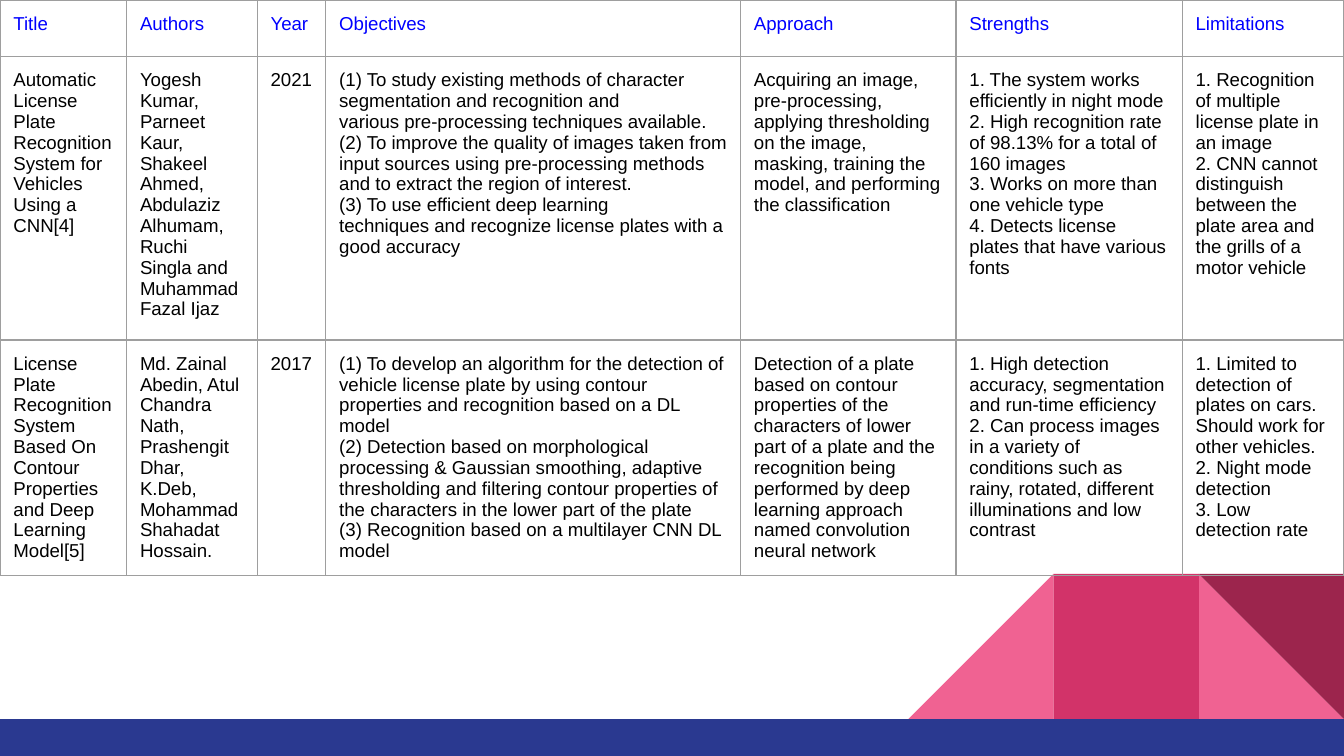
"""Build a literature review table slide with a geometric footer."""
from lxml import etree
from pptx import Presentation, util as u
from pptx.dml.color import RGBColor
from pptx.enum import shapes, text
from pptx.oxml import ns

PINK = RGBColor(0xF0, 0x62, 0x92)
ROSE = RGBColor(0xD2, 0x33, 0x69)
WINE = RGBColor(0x9C, 0x25, 0x4D)
NAVY = RGBColor(0x2A, 0x39, 0x90)
BLUE = RGBColor(0x00, 0x00, 0xFF)
BLACK = RGBColor(0x00, 0x00, 0x00)
GRAY = RGBColor(0x9E, 0x9E, 0x9E)

SLIDE_WIDTH = 10
SLIDE_HEIGHT = SLIDE_WIDTH * 9 / 16
TILE = 1.08
TILE_TOP = 4.27
TILE_RIGHT = SLIDE_WIDTH - TILE
BAND_TOP = TILE_TOP + TILE
COLUMN_SHARES = [0.94, 0.97, 0.51, 3.08, 1.6, 1.68, 1.2]
COLUMN_WIDTHS = [share * SLIDE_WIDTH / sum(COLUMN_SHARES) for share in COLUMN_SHARES]
ROW_HEIGHTS = [0.42, 2.11, 1.68]
MARGINS = {f"margin_{side}": u.Inches(0.1) for side in ("left", "right", "top", "bottom")}
CELL_FORMAT = {**MARGINS, "vertical_anchor": text.MSO_ANCHOR.TOP}
FONT_FORMAT = {"name": "Arial", "size": u.Pt(10), "bold": False}

REVIEW = [
    ["Title", "Authors", "Year", "Objectives", "Approach", "Strengths", "Limitations"],
    [
        "Automatic License Plate Recognition System for Vehicles Using a CNN[4]",
        "Yogesh Kumar,\n"
        "Parneet Kaur, Shakeel Ahmed, Abdulaziz Alhumam, Ruchi Singla and Muhammad Fazal Ijaz",
        "2021",
        "(1) To study existing methods of character segmentation and recognition and\n"
        "various pre-processing techniques available.\n"
        "(2) To improve the quality of images taken from input sources using "
        "pre-processing methods and to extract the region of interest.\n"
        "(3) To use efficient deep learning\n"
        "techniques and recognize license plates with a good accuracy",
        "Acquiring an image, pre-processing, applying thresholding on the image, "
        "masking, training the\n"
        "model, and performing the classification",
        "1. The system works efficiently in night mode\n"
        "2. High recognition rate of 98.13% for a total of 160 images\n"
        "3. Works on more than one vehicle type\n"
        "4. Detects license plates that have various fonts",
        "1. Recognition of multiple license plate in an image\n"
        "2. CNN cannot distinguish between the plate area and the grills of a motor vehicle",
    ],
    [
        "License Plate Recognition System Based On Contour\n"
        "Properties and Deep Learning Model[5]",
        "Md. Zainal Abedin, Atul Chandra Nath, Prashengit Dhar, K.Deb, "
        "Mohammad Shahadat Hossain.",
        "2017",
        "(1) To develop an algorithm for the detection of vehicle license plate by "
        "using contour properties and recognition based on a DL model\n"
        "(2) Detection based on morphological processing & Gaussian smoothing, adaptive "
        "thresholding and filtering contour properties of the characters in the lower "
        "part of the plate\n"
        "(3) Recognition based on a multilayer CNN DL model",
        "Detection of a plate based on contour properties of the characters of lower "
        "part of a plate and the recognition being performed by deep learning approach "
        "named convolution neural network",
        "1. High detection accuracy, segmentation and run-time efficiency\n"
        "2. Can process images in a variety of conditions such as rainy, rotated, "
        "different illuminations and low contrast",
        "1. Limited to detection of plates on cars. Should work for other vehicles.\n"
        "2. Night mode detection\n"
        "3. Low detection rate",
    ],
]


def apply_format(target, values):
    """Set each named attribute on the target."""
    for name, value in values.items():
        setattr(target, name, value)


def add_block(slide, kind, box, color, rotation=0, flipped=False):
    """Add a flat shape without outline or shadow."""
    shape = slide.shapes.add_shape(kind, *map(u.Inches, box))
    shape.shadow.inherit = False
    shape.fill.solid()
    shape.fill.fore_color.rgb = color
    shape.line.fill.background()
    shape.rotation = rotation
    if flipped:
        shape._element.spPr.xfrm.set("flipH", "1")


def add_footer(slide):
    """Add the triangles, square and band at the foot of the slide."""
    triangle = shapes.MSO_SHAPE.RIGHT_TRIANGLE
    rectangle = shapes.MSO_SHAPE.RECTANGLE
    right, middle, left = [
        (TILE_RIGHT - step * TILE, TILE_TOP, TILE, TILE) for step in range(3)
    ]
    band = (0, BAND_TOP, SLIDE_WIDTH, SLIDE_HEIGHT - BAND_TOP)
    add_block(slide, triangle, right, PINK)
    add_block(slide, triangle, left, PINK, flipped=True)
    add_block(slide, rectangle, middle, ROSE)
    add_block(slide, triangle, right, WINE, rotation=180)
    add_block(slide, rectangle, band, NAVY)


def add_borders(cell):
    """Draw a thin gray line on all four sides of a cell."""
    properties = cell._tc.get_or_add_tcPr()
    for index, side in enumerate(("lnL", "lnR", "lnT", "lnB")):
        line = etree.Element(ns.qn(f"a:{side}"), w=str(u.Pt(0.75)))
        fill = etree.SubElement(line, ns.qn("a:solidFill"))
        etree.SubElement(fill, ns.qn("a:srgbClr"), val=str(GRAY))
        properties.insert(index, line)


def fill_cell(cell, content, color):
    """Write and format the text of one cell."""
    cell.text = content
    apply_format(cell, CELL_FORMAT)
    cell.fill.background()
    add_borders(cell)
    for paragraph in cell.text_frame.paragraphs:
        for run in paragraph.runs:
            apply_format(run.font, FONT_FORMAT)
            run.font.color.rgb = color


def add_review_table(slide):
    """Add the table comparing the reviewed papers."""
    size = (SLIDE_WIDTH, sum(ROW_HEIGHTS))
    frame = slide.shapes.add_table(
        len(ROW_HEIGHTS), len(COLUMN_WIDTHS), 0, 0, *map(u.Inches, size)
    )
    table = frame.table
    apply_format(table, {"first_row": False, "horz_banding": False})
    for column, width in zip(table.columns, COLUMN_WIDTHS):
        column.width = u.Inches(width)
    for row, height, contents in zip(table.rows, ROW_HEIGHTS, REVIEW):
        row.height = u.Inches(height)
        color = BLUE if contents is REVIEW[0] else BLACK
        for cell, content in zip(row.cells, contents):
            fill_cell(cell, content, color)


def main():
    """Build and save the presentation."""
    presentation = Presentation()
    size = {"slide_width": u.Inches(SLIDE_WIDTH), "slide_height": u.Inches(SLIDE_HEIGHT)}
    apply_format(presentation, size)
    slide = presentation.slides.add_slide(presentation.slide_layouts[6])
    add_footer(slide)
    add_review_table(slide)
    presentation.save("out.pptx")


if __name__ == "__main__":
    main()
